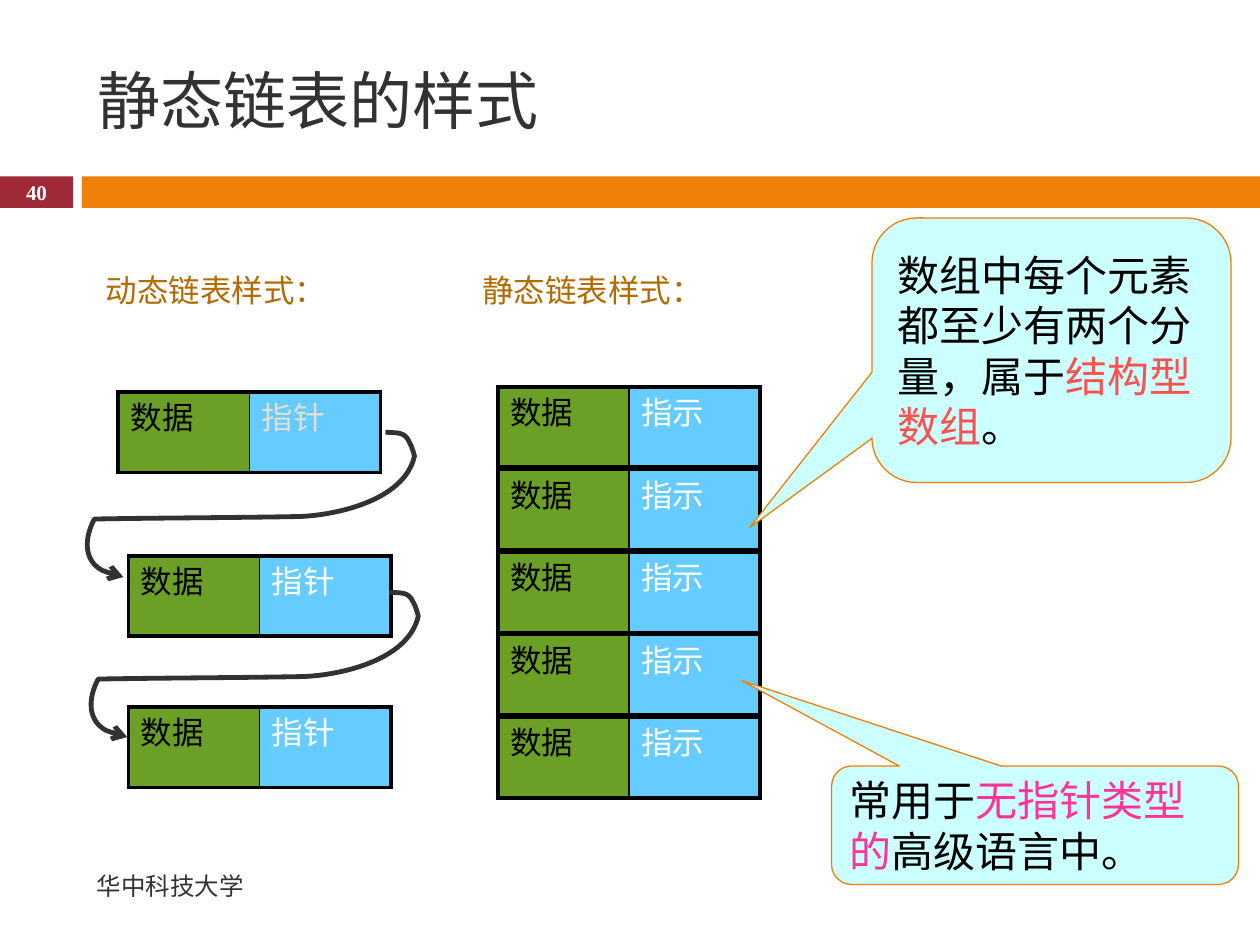
from lxml.etree import SubElement
from pptx import Presentation
from pptx.dml.color import RGBColor
from pptx.enum.shapes import MSO_CONNECTOR as Connector, MSO_SHAPE as Shape
from pptx.enum.text import MSO_ANCHOR as Anchor, PP_ALIGN as Align
from pptx.oxml.ns import qn
from pptx.util import Inches, Pt

BLACK = RGBColor(0x00, 0x00, 0x00)
WHITE = RGBColor(0xFF, 0xFF, 0xFF)
DARK = RGBColor(0x32, 0x32, 0x32)
CRIMSON = RGBColor(0x9F, 0x29, 0x36)
ORANGE = RGBColor(0xF0, 0x7F, 0x09)
BROWN = RGBColor(0xB2, 0x6B, 0x02)
GREEN = RGBColor(0x6B, 0x9F, 0x25)
BLUE = RGBColor(0x66, 0xCC, 0xFF)
BEIGE = RGBColor(0xE3, 0xDE, 0xD1)
PALE_CYAN = RGBColor(0xCC, 0xFF, 0xFF)
RED = RGBColor(0xFF, 0x50, 0x50)
PINK = RGBColor(0xFF, 0x33, 0x99)

SERIF = "Times New Roman"
TITLE = "静态链表的样式"
BANDS = [((0, 1.4, 0.58, 0.25), CRIMSON), ((0.65, 1.4, 9.35, 0.25), ORANGE)]
# text, box, size, colour, bold, alignment, anchor
LABELS = [
    ("华中科技大学", (0.67, 6.83, 5.93, 0.4), 14, DARK, False, Align.LEFT, Anchor.MIDDLE),
    ("40", (0, 1.39, 0.58, 0.27), 12, WHITE, True, Align.CENTER, Anchor.MIDDLE),
    ("动态链表样式：", (0.74, 2.1, 2.83, 0.57), 18, BROWN, False, Align.LEFT, Anchor.TOP),
    ("静态链表样式：", (3.73, 2.1, 2.83, 0.57), 18, BROWN, False, Align.LEFT, Anchor.TOP),
]

CELL_WIDTH, CELL_HEIGHT = 1.04, 0.64
DYNAMIC_NODES = [(0.94, 3.11, BEIGE), (1.02, 4.41, WHITE), (1.02, 5.61, WHITE)]
STATIC_LEFT, STATIC_TOP, STATIC_LAST_TOP, STATIC_COUNT = 3.95, 3.07, 5.69, 5

LINK_START = (3.06, 3.43)
# two control points and an end point for each curve
LINK_CURVES = [
    ((3.15, 3.44), (3.21, 3.42), (3.25, 3.51)),
    ((3.27, 3.54), (3.29, 3.62), (3.29, 3.62)),
    ((3.21, 3.98), (2.65, 4.09), (2.38, 4.1)),
    ((1.84, 4.11), (1.29, 4.11), (0.75, 4.12)),
    ((0.69, 4.23), (0.66, 4.38), (0.75, 4.48)),
    ((0.8, 4.53), (0.85, 4.54), (0.91, 4.56)),
    ((0.97, 4.58), (0.94, 4.58), (0.98, 4.58)),
]
LINK_OFFSETS = [(0, 0), (0.03, 1.27)]

CALLOUTS = [
    ((6.92, 1.73, 2.85, 2.1), (-0.84, 0.67, 0.17),
     [("数组中每个元素都至少有两个分量，属于", BLACK), ("结构型数组", RED), ("。", BLACK)]),
    ((6.6, 6.08, 3.23, 0.94), (-0.72, -1.22, 0.17),
     [("常用于", BLACK), ("无指针类型的", PINK), ("高级语言中。", BLACK)]),
]


def add_filled(shapes, kind, box, fill, line=None):
    shape = shapes.add_shape(kind, *map(Inches, box))
    shape.shadow.inherit = False
    shape.fill.solid()
    shape.fill.fore_color.rgb = fill
    if line is None:
        shape.line.fill.background()
    else:
        shape.line.color.rgb = line
        shape.line.width = Pt(0.75)
    return shape


def write_text(shape, text, name, size, color, bold=False, align=Align.LEFT, anchor=Anchor.TOP):
    frame = shape.text_frame
    frame.word_wrap = True
    frame.vertical_anchor = anchor
    paragraph = frame.paragraphs[0]
    paragraph.text = text
    paragraph.alignment = align
    font = paragraph.font
    font.name, font.size, font.bold = name, Pt(size), bold
    font.color.rgb = color


def add_border(shapes, start, end, width):
    border = shapes.add_connector(Connector.STRAIGHT, *map(Inches, start + end))
    border.line.color.rgb = BLACK
    border.line.width = Pt(width)
    border.line._get_or_add_ln().set("cap", "sq")
    SubElement(border._element.spPr, qn("a:effectLst"))


def add_node(shapes, left, top, link_text, link_color):
    """Draw one list node: a data cell, a link cell and their borders."""
    middle, right = left + CELL_WIDTH, left + 2 * CELL_WIDTH
    bottom = top + CELL_HEIGHT
    for x, text, color, fill, line in [
        (middle, link_text, link_color, BLUE, None),
        (left, "数据", BLACK, GREEN, WHITE),
    ]:
        cell = add_filled(shapes, Shape.RECTANGLE, (x, top, CELL_WIDTH, CELL_HEIGHT), fill, line)
        write_text(cell, text, "Arial", 18, color)
    for y in (top, bottom):
        add_border(shapes, (left, y), (right, y), 2.25)
    for x, width in ((left, 2.25), (middle, 1), (right, 2.25)):
        add_border(shapes, (x, top), (x, bottom), width)


def bend_segments(freeform):
    """Turn every three straight segments into one cubic curve."""
    segments = list(freeform._element.iter(qn("a:lnTo")))
    for first in range(0, len(segments), 3):
        curve = SubElement(segments[first].getparent(), qn("a:cubicBezTo"))
        for segment in segments[first:first + 3]:
            curve.append(segment[0])
            segment.getparent().remove(segment)


def add_link(shapes, offset):
    controls = [LINK_START] + [point for curve in LINK_CURVES for point in curve]
    points = [(Inches(x + offset[0]), Inches(y + offset[1])) for x, y in controls]
    builder = shapes.build_freeform(*points[0])
    builder.add_line_segments(points[1:], close=False)
    link = builder.convert_to_shape()
    bend_segments(link)
    link.shadow.inherit = False
    link.fill.background()
    link.line.color.rgb = DARK
    link.line.width = Pt(2.75)
    SubElement(link.line._get_or_add_ln(), qn("a:tailEnd"), type="arrow")


def add_callout(shapes, box, adjustments, runs):
    callout = add_filled(shapes, Shape.ROUNDED_RECTANGULAR_CALLOUT, box, PALE_CYAN, ORANGE)
    for index, value in enumerate(adjustments):
        callout.adjustments[index] = value
    write_text(callout, "", "Calibri", 24, BLACK, anchor=Anchor.MIDDLE)
    for text, color in runs:
        run = callout.text_frame.paragraphs[0].add_run()
        run.text = text
        run.font.color.rgb = color


def main():
    presentation = Presentation()
    presentation.slide_width, presentation.slide_height = Inches(10), Inches(7.5)
    slide = presentation.slides.add_slide(presentation.slide_layouts[5])
    shapes = slide.shapes

    title = shapes.title
    title.left, title.top, title.width, title.height = map(Inches, (0.67, 0.25, 8.92, 1.08))
    write_text(title, TITLE, SERIF, 36, DARK, anchor=Anchor.MIDDLE)

    for box, fill in BANDS:
        add_filled(shapes, Shape.RECTANGLE, box, fill)
    for text, box, *style in LABELS:
        write_text(shapes.add_textbox(*map(Inches, box)), text, SERIF, *style)

    dynamic_list = shapes.add_group_shape().shapes
    for left, top, color in DYNAMIC_NODES:
        add_node(dynamic_list, left, top, "指针", color)
    for offset in LINK_OFFSETS:
        add_link(dynamic_list, offset)

    static_list = shapes.add_group_shape().shapes
    pitch = (STATIC_LAST_TOP - STATIC_TOP) / (STATIC_COUNT - 1)
    for row in range(STATIC_COUNT):
        add_node(static_list, STATIC_LEFT, STATIC_TOP + row * pitch, "指示", WHITE)

    for callout in CALLOUTS:
        add_callout(shapes, *callout)

    presentation.save("out.pptx")


if __name__ == "__main__":
    main()
